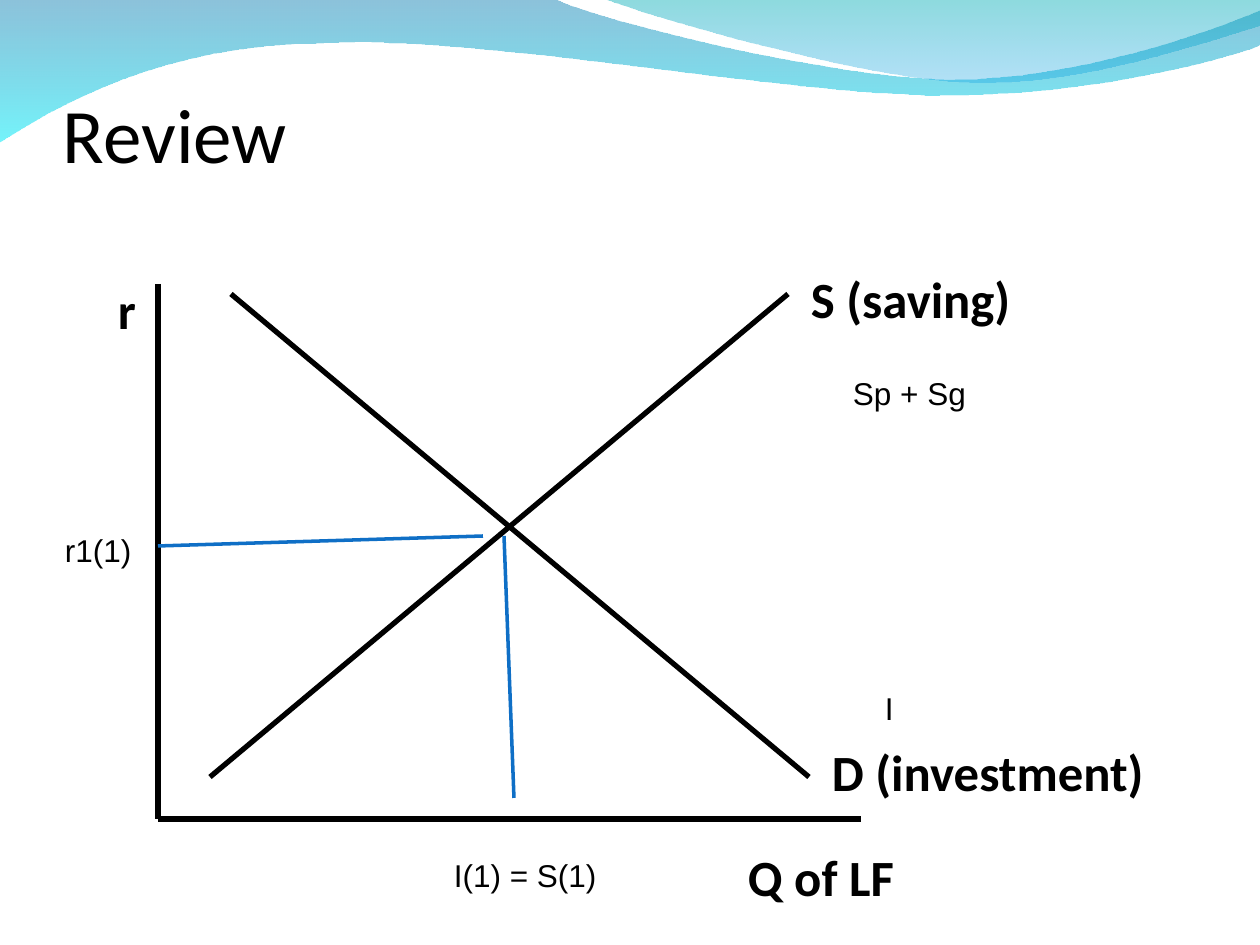
"""Build the loanable funds review slide."""
from typing import NamedTuple

from lxml import etree
from pptx import Presentation
from pptx import util as u
from pptx.dml import color
from pptx.enum import shapes, text
from pptx.oxml import ns

SCALE = 914400 / 126
COLORS = {
    "ink": "000000",
    "guide": "0F6FC6",
    "wave_blue": "0079AF",
    "wave_cyan": "00EBF8",
    "wave_teal": "00ADB6",
    "wave_sky": "009BE5",
}


class Label(NamedTuple):
    words: str
    left: int
    top: int
    width: int
    height: int = 50
    size: int = 18
    font: str = "Arial"
    bold: bool = False
    insets: tuple = (13, 6, 13, 6)
    anchor: text.MSO_ANCHOR = text.MSO_ANCHOR.TOP
    fit: text.MSO_AUTO_SIZE = text.MSO_AUTO_SIZE.SHAPE_TO_FIT_TEXT


class Line(NamedTuple):
    start: tuple
    end: tuple
    color: str = "ink"
    width: int = 3


class Wave(NamedTuple):
    start: tuple
    segments: list
    stops: list


def heading(words: str, left: int, top: int, width: int) -> Label:
    """Return a bold label for an axis or a curve."""
    return Label(words, left, top, width, 74, 29, "Calibri", True)


WAVES = [
    Wave(
        (0, -1),
        [
            [(554, -1)],
            [(600, 21), (837, 79), (955, 79)],
            [(1075, 79), (1207, 33), (1260, 11)],
            [(1261, 45)],
            [(1239, 55), (1096, 96), (940, 95)],
            [(784, 95), (481, 35), (324, 43)],
            [(163, 44), (58, 105), (-1, 142)],
        ],
        [("wave_blue", 45), ("wave_cyan", 55)],
    ),
    Wave(
        (604, -1),
        [
            [(641, 14), (859, 78), (969, 82)],
            [(1079, 87), (1211, 40), (1260, 26)],
            [(1260, 0)],
        ],
        [("wave_teal", 45), ("wave_sky", 30)],
    ),
]
LINES = [
    Line((158, 284), (158, 819)),
    Line((158, 819), (861, 819)),
    Line((788, 294), (210, 777)),
    Line((231, 294), (809, 777)),
    Line((504, 536), (514, 798), "guide", 2),
    Line((483, 536), (158, 546), "guide", 2),
]
LABELS = [
    Label("Review", 63, 97, 1134, 82, 44, "Calibri", insets=(0, 6, 0, 0),
          anchor=text.MSO_ANCHOR.BOTTOM, fit=text.MSO_AUTO_SIZE.NONE),
    heading("r", 105, 273, 63),
    heading("S (saving)", 798, 262, 242),
    heading("D (investment)", 819, 735, 357),
    heading("Q of LF", 735, 840, 200),
    Label("Sp + Sg", 840, 368, 273),
    Label("I", 872, 683, 210),
    Label("I(1) = S(1)", 441, 850, 189),
    Label("r1(1)", 52, 525, 105),
]


def emu(pixels: float) -> u.Emu:
    """Turn px into EMU."""
    return u.Emu(round(pixels * SCALE))


def rgb(name: str) -> color.RGBColor:
    """Look up a named colour."""
    return color.RGBColor.from_string(COLORS[name])


def bend(shape, segments: list) -> None:
    """Merge each run of three straight steps into one cubic curve."""
    steps = iter(list(shape.element.spPr.iter(ns.qn("a:lnTo"))))
    for segment in segments:
        first, *others = [next(steps) for _ in segment]
        if others:
            first.tag = ns.qn("a:cubicBezTo")
        for step in others:
            first.append(step[0])
            step.getparent().remove(step)


def draw_wave(page, wave: Wave) -> None:
    """Draw a wave with a translucent vertical gradient."""
    points = [(emu(x), emu(y)) for segment in wave.segments for x, y in segment]
    builder = page.shapes.build_freeform(*map(emu, wave.start), scale=1.0)
    builder.add_line_segments(points, close=True)
    shape = builder.convert_to_shape()
    bend(shape, wave.segments)
    shape.shadow.inherit = False
    shape.line.fill.background()
    shape.fill.gradient()
    shape.fill.gradient_angle = 270
    for stop, (name, _) in zip(shape.fill.gradient_stops, wave.stops):
        stop.color.rgb = rgb(name)
    tones = shape.element.spPr.iter(ns.qn("a:srgbClr"))
    for tone, (_, opacity) in zip(tones, wave.stops):
        etree.SubElement(tone, ns.qn("a:alpha"), val=str(opacity * 1000))


def draw_line(page, line: Line) -> None:
    """Draw a straight line without a shadow."""
    connector = page.shapes.add_connector(
        shapes.MSO_CONNECTOR.STRAIGHT, *map(emu, line.start + line.end))
    connector.line.color.rgb = rgb(line.color)
    connector.line.width = u.Pt(line.width)
    etree.SubElement(connector.element.spPr, ns.qn("a:effectLst"))


def draw_label(page, label: Label) -> None:
    """Draw a text box holding one paragraph."""
    box = page.shapes.add_textbox(
        *map(emu, (label.left, label.top, label.width, label.height)))
    frame = box.text_frame
    frame.word_wrap = True
    frame.auto_size = label.fit
    frame.vertical_anchor = label.anchor
    (frame.margin_left, frame.margin_top,
     frame.margin_right, frame.margin_bottom) = map(emu, label.insets)
    para = frame.paragraphs[0]
    para.text = label.words
    para.font.name = label.font
    para.font.size = u.Pt(label.size)
    para.font.bold = label.bold
    para.font.color.rgb = rgb("ink")


def main() -> None:
    """Build and save the deck."""
    deck = Presentation()
    deck.slide_width, deck.slide_height = emu(1260), emu(945)
    page = deck.slides.add_slide(deck.slide_layouts[6])
    for wave in WAVES:
        draw_wave(page, wave)
    for line in LINES:
        draw_line(page, line)
    for label in LABELS:
        draw_label(page, label)
    deck.save("out.pptx")


if __name__ == "__main__":
    main()
